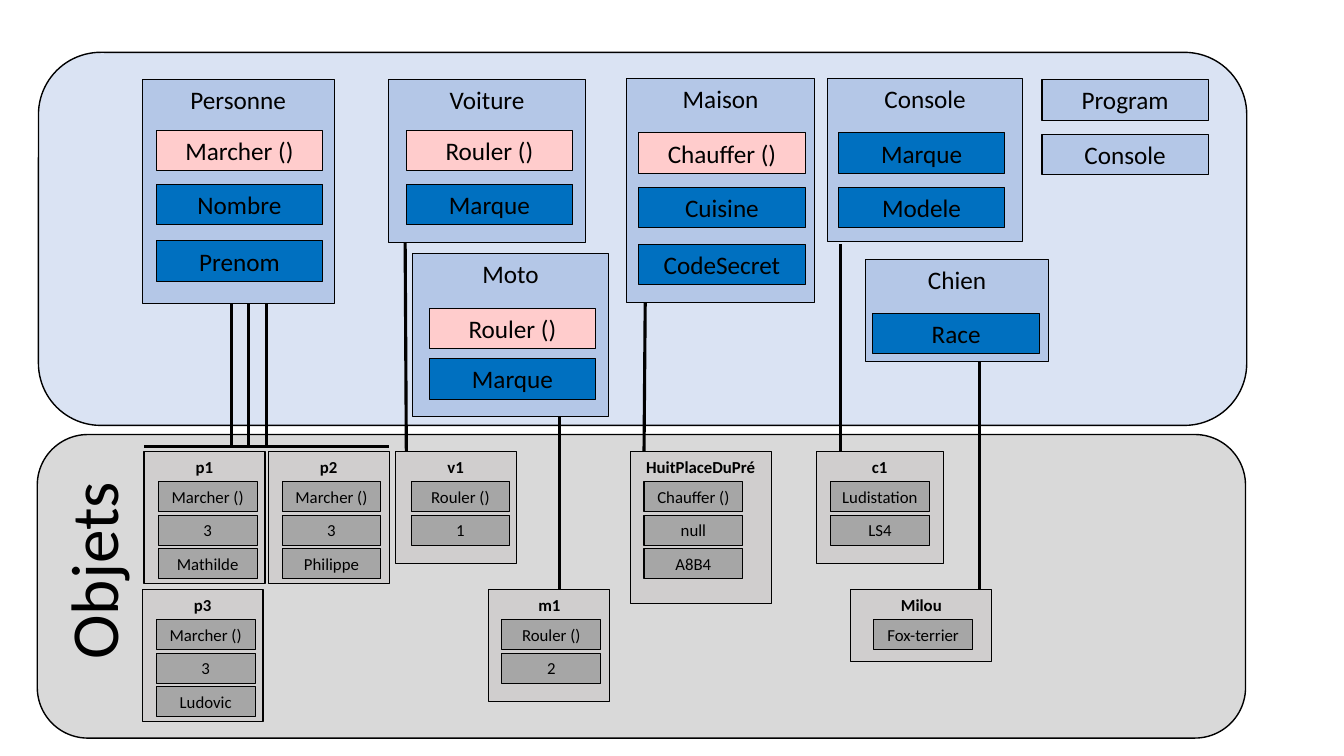
from lxml import etree
from pptx import Presentation
from pptx import util as u
from pptx.dml.color import RGBColor
from pptx.enum import shapes, text
from pptx.oxml import ns

FONT = "Calibri"
BLACK = "000000"
CLASS_FILL, METHOD_FILL, FIELD_FILL = "B4C7E7", "FFCCCC", "0070C0"
OBJECT_FILL, VALUE_FILL = "D0CECE", "A6A6A6"

# All lengths are in centimetres.
MEMBER_SIZE = 4.19, 1.02
VALUE_SIZE = 2.49, 0.76
VALUE_OFFSET, VALUE_STEP = 0.76, 0.84
UPPER_ROW, LOWER_ROW = 11.38, 14.86

PANELS = [
    ((0.97, 1.32, 30.45, 9.4), "DAE3F3"),
    ((0.94, 10.95, 30.45, 7.65), "D9D9D9"),
]

# name, frame, left edge of the members, members with their tops
CLASSES = [
    ("Personne", (3.58, 2.01, 4.85, 5.64), 3.94,
     [("Marcher ()", 3.28), ("Nombre", 4.65), ("Prenom", 6.07)]),
    ("Voiture", (9.8, 2.01, 4.95, 4.11), 10.24,
     [("Rouler ()", 3.28), ("Marque", 4.65)]),
    ("Moto", (10.39, 6.38, 4.95, 4.11), 10.82,
     [("Rouler ()", 7.77), ("Marque", 9.04)]),
    ("Maison", (15.8, 1.98, 4.72, 5.64), 16.1,
     [("Chauffer ()", 3.35), ("Cuisine", 4.72), ("CodeSecret", 6.15)]),
    ("Console", (20.85, 1.98, 4.93, 4.11), 21.13,
     [("Marque", 3.35), ("Modele", 4.72)]),
    ("Chien", (21.82, 6.53, 4.6, 2.57), 22.0, [("Race", 7.9)]),
    ("Program", (26.26, 2.01, *MEMBER_SIZE), 0, []),
    ("Console", (26.26, 3.38, *MEMBER_SIZE), 0, []),
]

# name, frame, left edge of the values, values
OBJECTS = [
    ("p1", (3.63, UPPER_ROW, 3.05, 3.33), 3.99, ["Marcher ()", "3", "Mathilde"]),
    ("p2", (6.76, UPPER_ROW, 3.05, 3.33), 7.11, ["Marcher ()", "3", "Philippe"]),
    ("p3", (3.58, LOWER_ROW, 3.05, 3.33), 3.94, ["Marcher ()", "3", "Ludovic"]),
    ("v1", (9.96, UPPER_ROW, 3.05, 2.82), 10.36, ["Rouler ()", "1"]),
    ("m1", (12.32, LOWER_ROW, 3.05, 2.82), 12.65, ["Rouler ()", "2"]),
    ("HuitPlaceDuPré", (15.88, UPPER_ROW, 3.56, 3.84), 16.23,
     ["Chauffer ()", "null", "A8B4"]),
    ("c1", (20.57, UPPER_ROW, 3.2, 2.82), 20.93, ["Ludistation", "LS4"]),
    ("Milou", (21.44, LOWER_ROW, 3.56, 1.8), 22.02, ["Fox-terrier"]),
]

# start x, start y, end x, end y
LINKS = [
    (14.1, 10.49, 14.1, LOWER_ROW),
    (10.21, 6.1, 10.24, UPPER_ROW),
    (16.26, 7.62, 16.23, UPPER_ROW),
    (21.18, 6.15, 21.18, UPPER_ROW),
    (24.69, 9.09, 24.69, LOWER_ROW),
    (3.63, 11.25, 9.8, 11.25),
    *((x, 7.65, x, 11.28) for x in (5.84, 6.27, 6.71)),
]


def color(value):
    return RGBColor.from_string(value)


def lengths(values):
    return [u.Cm(value) for value in values]


def write(shape, words, size, bold=False):
    frame = shape.text_frame
    frame.text = words
    frame.vertical_anchor = text.MSO_ANCHOR.TOP
    para = frame.paragraphs[0]
    para.alignment = text.PP_ALIGN.CENTER
    font = para.runs[0].font
    font.name, font.size, font.bold = FONT, u.Pt(size), bold
    font.color.rgb = color(BLACK)


def add_box(page, frame, fill, line_width=0.75, kind=shapes.MSO_SHAPE.RECTANGLE):
    box = page.shapes.add_shape(kind, *lengths(frame))
    box.shadow.inherit = False
    box.fill.solid()
    box.fill.fore_color.rgb = color(fill)
    box.line.color.rgb = color(BLACK)
    box.line.width = u.Pt(line_width)
    return box


def add_label_box(page, frame, fill, words, size, bold=False):
    box = add_box(page, frame, fill)
    box.text_frame.word_wrap = True
    write(box, words, size, bold)


def add_link(page, ends):
    link = page.shapes.add_connector(shapes.MSO_CONNECTOR.STRAIGHT, *lengths(ends))
    link.line.color.rgb = color(BLACK)
    link.line.width = u.Pt(2.25)
    etree.SubElement(link._element.spPr, ns.qn("a:effectLst"))


def add_class(page, name, frame, member_left, members):
    add_label_box(page, frame, CLASS_FILL, name, 18)
    for member, top in members:
        fill = METHOD_FILL if member.endswith("()") else FIELD_FILL
        add_label_box(page, (member_left, top, *MEMBER_SIZE), fill, member, 18)


def add_object(page, name, frame, value_left, values):
    add_label_box(page, frame, OBJECT_FILL, name, 12, bold=True)
    for row, value in enumerate(values):
        top = frame[1] + VALUE_OFFSET + row * VALUE_STEP
        add_label_box(page, (value_left, top, *VALUE_SIZE), VALUE_FILL, value, 12)


def add_side_title(page, words):
    title = page.shapes.add_textbox(*lengths((-0.2, 13.23, 5.03, 2.31)))
    title.rotation = 270
    title.text_frame.word_wrap = False
    write(title, words, 48)


def main():
    deck = Presentation()
    deck.slide_width, deck.slide_height = lengths((33.87, 19.05))
    page = deck.slides.add_slide(deck.slide_layouts[6])
    for frame, fill in PANELS:
        add_box(page, frame, fill, 1, shapes.MSO_SHAPE.ROUNDED_RECTANGLE)
    for ends in LINKS:
        add_link(page, ends)
    add_side_title(page, "Objets")
    for entry in CLASSES:
        add_class(page, *entry)
    for entry in OBJECTS:
        add_object(page, *entry)
    deck.save("out.pptx")


if __name__ == "__main__":
    main()
